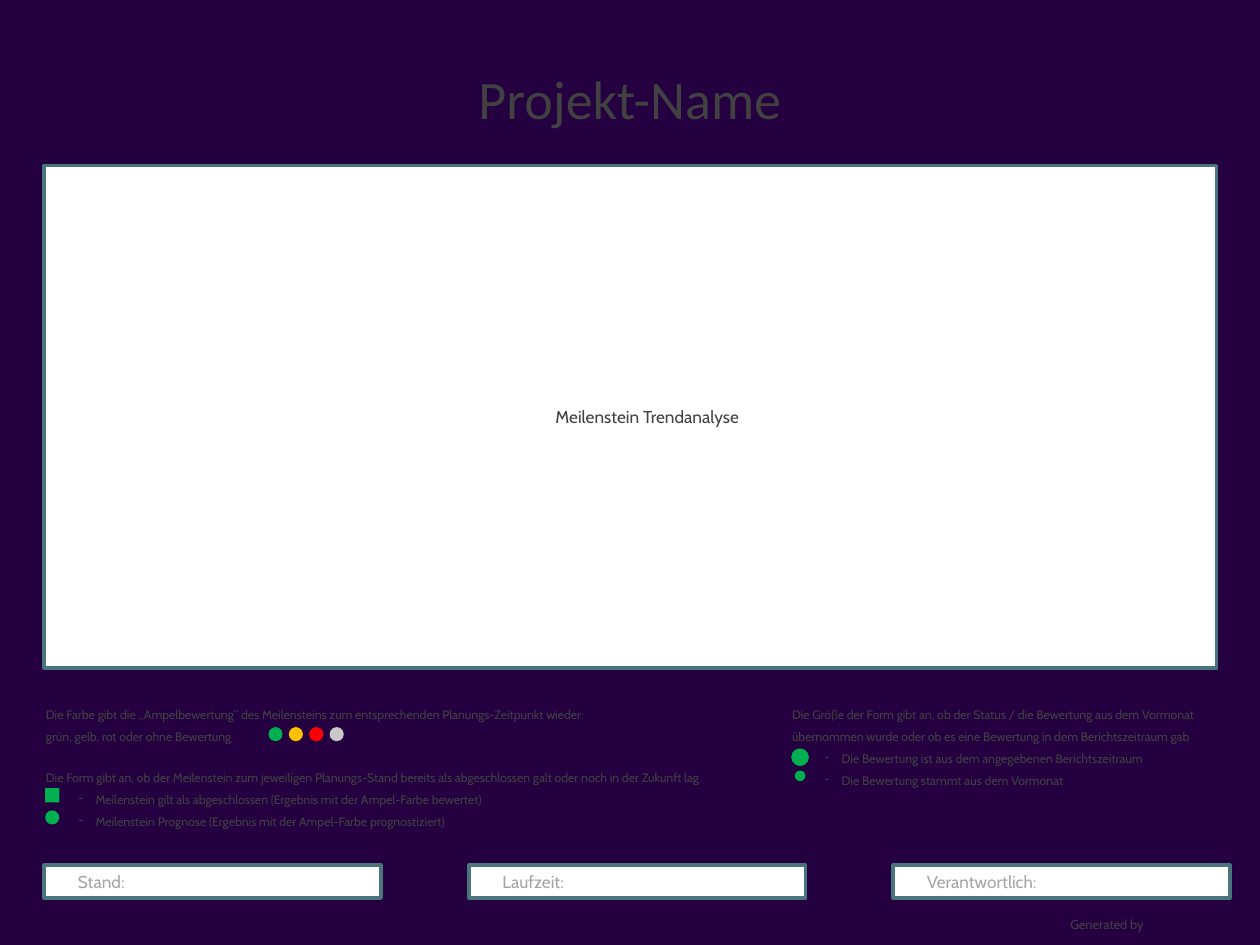
import pptx
import pptx.util
import pptx.dml.color
import pptx.enum.shapes
import pptx.enum.text
import pptx.oxml.ns
import lxml.etree

Inches = pptx.util.Inches
Pt = pptx.util.Pt
RGB = pptx.dml.color.RGBColor
Kind = pptx.enum.shapes.MSO_SHAPE
Align = pptx.enum.text.PP_ALIGN
Anchor = pptx.enum.text.MSO_ANCHOR
Fit = pptx.enum.text.MSO_AUTO_SIZE

NIGHT = RGB(0x24, 0x00, 0x41)
WHITE = RGB(0xFF, 0xFF, 0xFF)
TEAL = RGB(0x4A, 0x75, 0x7D)
DARK = RGB(0x41, 0x41, 0x41)
GREY = RGB(0xA5, 0xA5, 0xA5)
GREEN = RGB(0x00, 0xB0, 0x50)
AMBER = RGB(0xFF, 0xC0, 0x00)
RED = RGB(0xFF, 0x00, 0x00)
SILVER = RGB(0xC9, 0xC9, 0xC9)
MARK = 0.16


def add_run(para, text, size, color=DARK, font="Cabin"):
    run = para.add_run()
    run.text = text
    run.font.size = Pt(size)
    run.font.name = font
    run.font.color.rgb = color


def set_frame(frame, insets, wrap):
    left, top, right, bottom = insets
    frame.margin_left, frame.margin_top = Inches(left), Inches(top)
    frame.margin_right, frame.margin_bottom = Inches(right), Inches(bottom)
    frame.word_wrap = wrap


def indent(para, left, first=0, bullet=None):
    props = para._p.get_or_add_pPr()
    props.set("marL", str(Inches(left)))
    props.set("indent", str(Inches(first)))
    if bullet:
        char = lxml.etree.SubElement(props, pptx.oxml.ns.qn("a:buChar"))
        char.set("char", bullet)


def add_shape(shapes, kind, box, fill):
    shape = shapes.add_shape(kind, *map(Inches, box))
    shape.shadow.inherit = False
    shape.fill.solid()
    shape.fill.fore_color.rgb = fill
    shape.line.fill.background()
    return shape


def add_mark(shapes, x, y, color=GREEN, kind=Kind.OVAL, size=MARK):
    add_shape(shapes, kind, (x, y, size, size), color)


def add_field(slide, box, text, color, align=Align.LEFT, inset=0):
    shape = add_shape(slide.shapes, Kind.RECTANGLE, box, WHITE)
    shape.line.color.rgb = TEAL
    shape.line.width = Pt(3)
    frame = shape.text_frame
    set_frame(frame, (inset, 0.06, 0.06, 0.06), True)
    frame.vertical_anchor = Anchor.MIDDLE
    para = frame.paragraphs[0]
    para.alignment = align
    indent(para, 0.38)
    add_run(para, text, 14, color)


def add_label(shapes, box):
    frame = shapes.add_textbox(*map(Inches, box)).text_frame
    set_frame(frame, (0.1, 0.05, 0.1, 0.05), False)
    frame.auto_size = Fit.SHAPE_TO_FIT_TEXT
    return frame


def add_notes(shapes, box, lines, items=()):
    frame = add_label(shapes, box)
    para = frame.paragraphs[0]
    para.line_spacing = 1.5
    for place, line in enumerate(lines):
        if place:
            para.add_line_break()
        add_run(para, line, 10)
    for item in items:
        para = frame.add_paragraph()
        para.level = 1
        para.line_spacing = 1.5
        indent(para, 0.56, -0.19, "-")
        add_run(para, item, 10)


def add_title(slide, box, text):
    title = slide.shapes.title
    title.left, title.top, title.width, title.height = map(Inches, box)
    frame = title.text_frame
    set_frame(frame, (0, 0, 0, 0), True)
    frame.vertical_anchor = Anchor.MIDDLE
    para = frame.paragraphs[0]
    para.alignment = Align.CENTER
    add_run(para, text, 44, font="Calibri")


def add_colors(slide, box):
    left, top = box[:2]
    shapes = slide.shapes.add_group_shape().shapes
    add_notes(shapes, box, (
        "Die Farbe gibt die „Ampelbewertung“ des Meilensteins zum "
        "entsprechenden Planungs-Zeitpunkt wieder: ",
        "grün, gelb, rot oder ohne Bewertung"))
    for place, color in enumerate((GREEN, AMBER, RED, SILVER)):
        add_mark(shapes, left + 2.61 + place * 0.23, top + 0.36, color)


def add_forms(slide, box):
    left, top = box[:2]
    shapes = slide.shapes.add_group_shape().shapes
    add_notes(shapes, box, (
        "Die Form gibt an, ob der Meilenstein zum jeweiligen Planungs-Stand "
        "bereits als abgeschlossen galt oder noch in der Zukunft lag",), (
        "Meilenstein gilt als abgeschlossen (Ergebnis mit der Ampel-Farbe bewertet)",
        "Meilenstein Prognose (Ergebnis mit der Ampel-Farbe prognostiziert)"))
    for place, kind in enumerate((Kind.RECTANGLE, Kind.OVAL)):
        add_mark(shapes, left + 0.09, top + 0.34 + place * 0.25, kind=kind)


def add_sizes(slide, box):
    left, top = box[:2]
    shapes = slide.shapes.add_group_shape().shapes
    add_notes(shapes, box, (
        "Die Größe der Form gibt an, ob der Status / die Bewertung aus dem Vormonat ",
        "übernommen wurde oder ob es eine Bewertung in dem Berichtszeitraum gab"), (
        "Die Bewertung ist aus dem angegebenen Berichtszeitraum",
        "Die Bewertung stammt aus dem Vormonat"))
    for down, size in ((0.7, 0.2), (0.91, 0.12)):
        add_mark(shapes, left + 0.19 - size / 2, top + down - size / 2, size=size)


def add_fields(slide, box):
    left, top, width, height = box
    wide = 3.8
    step = (width - wide) / 2
    for place, text in enumerate(("Stand:", "Laufzeit:", "Verantwortlich:")):
        add_field(slide, (left + place * step, top, wide, height), text, GREY)


def add_footer(slide, box):
    para = add_label(slide.shapes, box).paragraphs[0]
    para.alignment = Align.CENTER
    add_run(para, "Generated by ", 10.5)


deck = pptx.Presentation()
deck.slide_width, deck.slide_height = Inches(14.22), Inches(10.67)
slide = deck.slides.add_slide(deck.slide_layouts[5])
slide.background.fill.solid()
slide.background.fill.fore_color.rgb = NIGHT

add_footer(slide, (11.92, 10.3, 1.18, 0.29))
add_title(slide, (0.71, 0.43, 12.8, 1.36), "Projekt-Name")
add_field(slide, (0.5, 1.87, 13.23, 5.67), "Meilenstein Trendanalyse",
          DARK, Align.CENTER, 0.06)
add_fields(slide, (0.5, 9.77, 13.38, 0.37))
add_colors(slide, (0.42, 7.85, 6.72, 0.61))
add_forms(slide, (0.42, 8.56, 8.04, 0.86))
add_sizes(slide, (8.84, 7.85, 5.08, 1.11))
deck.save("out.pptx")
